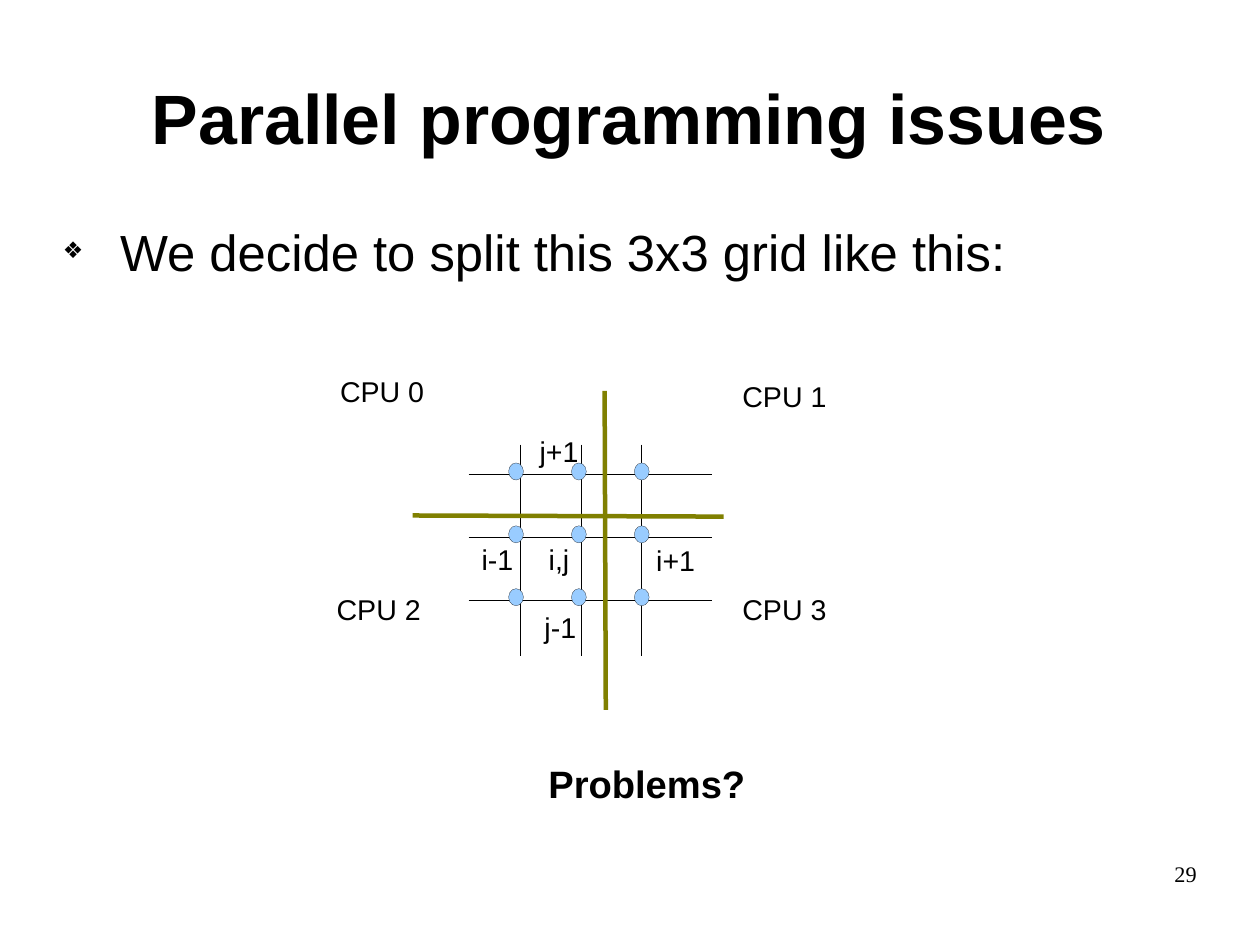
from dataclasses import dataclass
from itertools import product

from lxml.etree import SubElement
from pptx import Presentation
from pptx.dml.color import RGBColor
from pptx.enum.shapes import MSO_CONNECTOR, MSO_SHAPE
from pptx.enum.text import MSO_ANCHOR, MSO_AUTO_SIZE, PP_ALIGN
from pptx.oxml.ns import qn
from pptx.util import Cm, Inches, Pt


@dataclass(frozen=True)
class Theme:
    """Colours, fonts and type sizes of the slide."""
    ink: RGBColor = RGBColor(0, 0, 0)
    node: RGBColor = RGBColor(0x99, 0xCC, 0xFF)
    split: RGBColor = RGBColor(0x80, 0x80, 0)
    sans: str = "Arial"
    serif: str = "Times New Roman"
    title: int = 44
    body: int = 32
    question: int = 24
    label: int = 18
    number: int = 14
    hairline: float = 0.1
    split_line: float = 2.83


@dataclass(frozen=True)
class Box:
    """A rectangle in inches."""
    left: float
    top: float
    width: float
    height: float

    def inner(self, left, top, width, height):
        """Return a box placed relative to this one."""
        return Box(self.left + left, self.top + top, width, height)

    def lengths(self):
        """Return the four lengths for python-pptx."""
        return [Inches(v) for v in (self.left, self.top, self.width, self.height)]


THEME = Theme()


def write(shape, text, size, align, bold=False, family=THEME.sans, margins=(0, 0)):
    """Put one formatted paragraph in a shape and return it."""
    frame = shape.text_frame
    frame.margin_left = frame.margin_right = Inches(margins[0])
    frame.margin_top = frame.margin_bottom = Inches(margins[1])
    frame.auto_size = MSO_AUTO_SIZE.NONE
    frame.word_wrap = True
    frame.text = text
    para = frame.paragraphs[0]
    para.alignment = align
    para.space_before = Pt(0)
    para.font.name = family
    para.font.size = Pt(size)
    para.font.bold = bold
    para.font.color.rgb = THEME.ink
    return para


def place(shape, box):
    """Move a placeholder into a box."""
    shape.left, shape.top, shape.width, shape.height = box.lengths()


def add_title(page, box):
    """Fill the title placeholder."""
    title = page.shapes.title
    place(title, box)
    write(title, "Parallel programming issues", THEME.title, PP_ALIGN.CENTER, bold=True)
    title.text_frame.vertical_anchor = MSO_ANCHOR.MIDDLE


def add_body(page, box):
    """Fill the body placeholder with its bulleted line."""
    body = page.placeholders[1]
    place(body, box)
    para = write(body, "We decide to split this 3x3 grid like this:", THEME.body, PP_ALIGN.LEFT)
    body.text_frame.vertical_anchor = MSO_ANCHOR.TOP
    para.space_after = Pt(14.2)
    properties = para._p.get_or_add_pPr()
    properties.set("marL", str(Inches(0.5)))
    properties.set("indent", str(Inches(-0.5)))
    bullet_size = SubElement(properties, qn("a:buSzPct"), val="45000")
    bullet = SubElement(properties, qn("a:buChar"), char="❖")
    properties.find(qn("a:defRPr")).addprevious(bullet_size)
    bullet_size.addnext(bullet)


def add_label(page, box, text, size=THEME.label, bold=False):
    """Add an unwrapped label that ends at the right of its box."""
    label = page.shapes.add_textbox(*box.lengths())
    write(label, text, size, PP_ALIGN.RIGHT, bold, margins=(0.1, 0.05))
    label.text_frame.word_wrap = False
    label.text_frame.auto_size = MSO_AUTO_SIZE.SHAPE_TO_FIT_TEXT


def add_line(page, box, color, width):
    """Draw a line from the top left to the bottom right of a box."""
    left, top, across, down = box.lengths()
    line = page.shapes.add_connector(
        MSO_CONNECTOR.STRAIGHT, left, top, left + across, top + down)
    line.line.color.rgb = color
    line.line.width = Pt(width)
    SubElement(line._element.spPr, qn("a:effectLst"))


def add_node(page, box):
    """Add one grid point."""
    node = page.shapes.add_shape(MSO_SHAPE.OVAL, *box.lengths())
    node.shadow.inherit = False
    node.fill.solid()
    node.fill.fore_color.rgb = THEME.node
    node.line.color.rgb = THEME.ink
    node.line.width = Pt(THEME.hairline)


def add_grid(page, box):
    """Draw the 3x3 grid with its points and index labels."""
    for step in range(3):
        add_line(page, box.inner(0.45 + 0.53 * step, 0, 0, 1.85), THEME.ink, THEME.hairline)
        add_line(page, box.inner(0, 0.26 + 0.55 * step, 2.13, 0), THEME.ink, THEME.hairline)
    for column, row in product(range(3), repeat=2):
        add_node(page, box.inner(0.35 + 0.55 * column, 0.16 + 0.55 * row, 0.13, 0.15))
    for text, left, top, width in (
        ("i-1", 0.01, 0.8, 0.48),
        ("j-1", 0.56, 1.4, 0.48),
        ("i+1", 1.54, 0.81, 0.54),
        ("j+1", 0.52, -0.14, 0.54),
        ("i,j", 0.6, 0.8, 0.38),
    ):
        add_label(page, box.inner(left, top, width, 0.41), text)


def add_split_grid(page, box):
    """Draw the grid divided among four processors."""
    add_grid(page, box.inner(1.25, 0.67, 2.13, 1.85))
    add_line(page, box.inner(2.44, 0.2, 0.01, 2.79), THEME.split, THEME.split_line)
    add_line(page, box.inner(0.76, 1.29, 2.72, 0.01), THEME.split, THEME.split_line)
    corners = ((0, 0), (3.52, 0.05), (-0.03, 1.91), (3.52, 1.91))
    for cpu, (left, top) in enumerate(corners):
        add_label(page, box.inner(left, top, 0.96, 0.39), f"CPU {cpu}")


def add_page_number(page, box):
    """Add the page number."""
    number = page.shapes.add_textbox(*box.lengths())
    write(number, "29", THEME.number, PP_ALIGN.RIGHT, family=THEME.serif)


def main():
    """Build and save the slide."""
    deck = Presentation()
    deck.slide_width, deck.slide_height = Cm(28), Cm(21)
    page = deck.slides.add_slide(deck.slide_layouts[1])
    add_title(page, Box(0.55, 0.33, 9.92, 1.38))
    add_body(page, Box(0.55, 1.93, 9.92, 5.36))
    add_split_grid(page, Box(2.85, 3.22, 4.48, 2.99))
    add_label(page, Box(2.35, 6.6, 4.27, 0.48), "Problems?", THEME.question, bold=True)
    add_page_number(page, Box(7.9, 7.53, 2.57, 0.57))
    deck.save("out.pptx")


if __name__ == "__main__":
    main()
